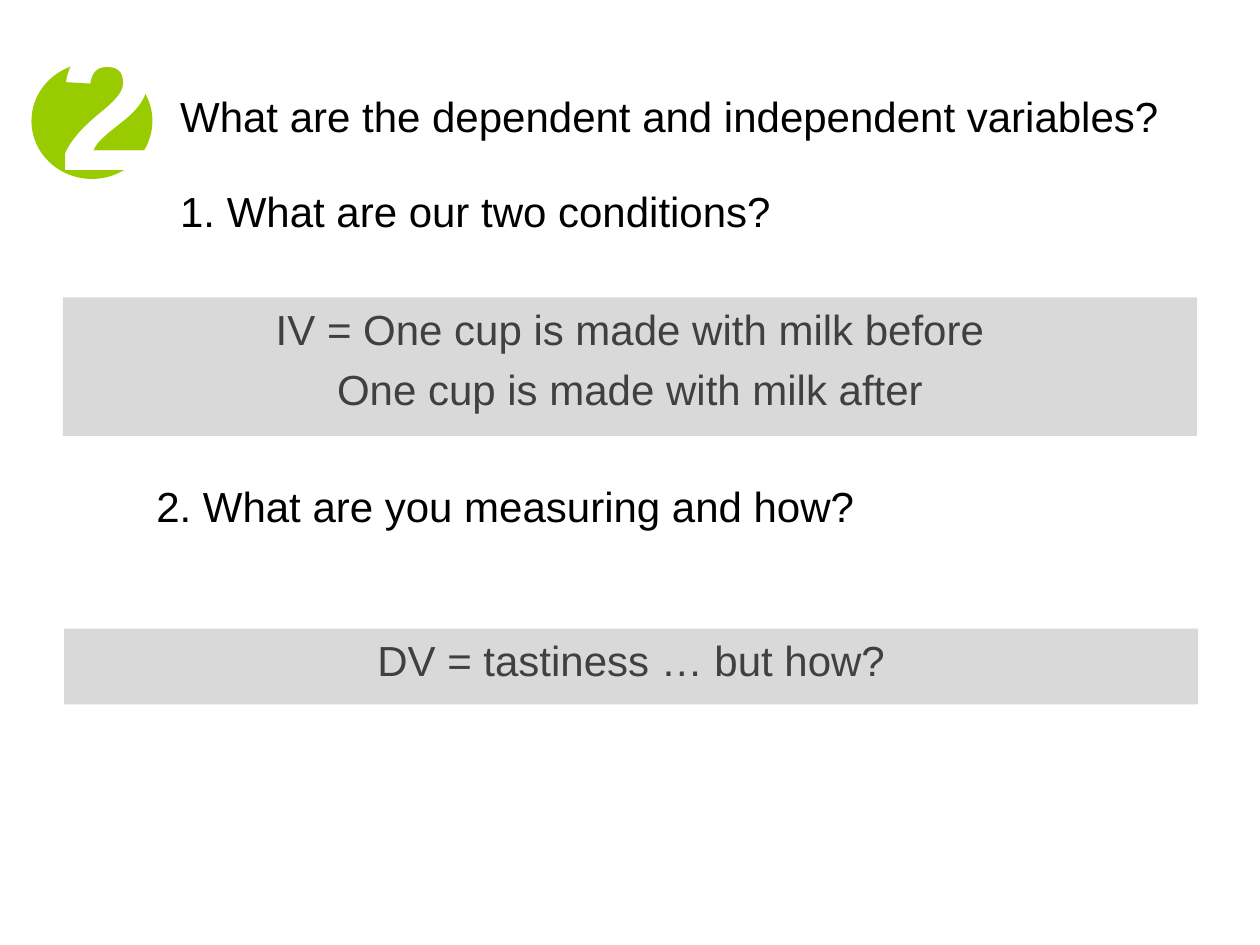
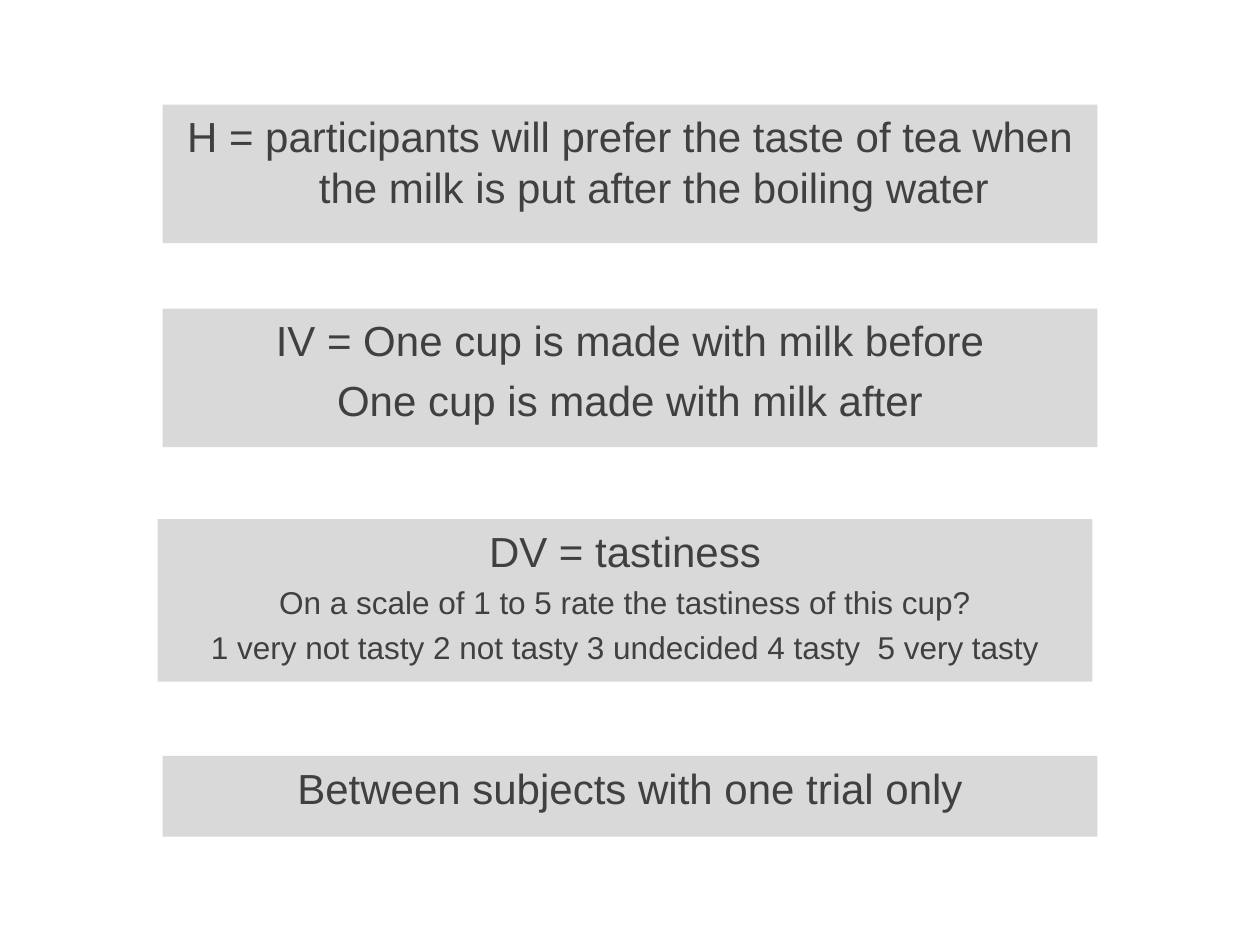
from dataclasses import dataclass

from lxml import etree
from pptx import Presentation
from pptx import util as u
from pptx.dml.color import RGBColor
from pptx.enum import shapes, text
from pptx.oxml.ns import qn

COLORS = {"band": "D9D9D9", "answer": "404040", "question": "000000",
          "badge": "99CC00", "badge_digit": "FFFFFF"}
FONT = "Arial"
LARGE, SMALL, BADGE_SIZE = 24, 18, 100
COLUMNS, ROWS = 100, 75
WIDTH, HEIGHT = u.Inches(10), u.Inches(7.5)
HANGING = u.Inches(0.38)
SPACE_SHARE = 0.23  # paragraph gap as a share of the text size
TITLE_AND_CONTENT, BLANK = 1, 6

IV_LINES = [("IV = One cup is made with milk before", LARGE),
            ("One cup is made with milk after", LARGE)]


@dataclass
class Box:
    """A rectangle in grid columns and rows."""
    left: float
    top: float
    width: float
    height: float

    def scaled(self, width, height):
        """A box at the same corner with shares of the size."""
        return Box(self.left, self.top, self.width * width, self.height * height)

    def lengths(self):
        column, row = WIDTH / COLUMNS, HEIGHT / ROWS
        return (u.Emu(round(self.left * column)), u.Emu(round(self.top * row)),
                u.Emu(round(self.width * column)), u.Emu(round(self.height * row)))


# Shared text and shape helpers

def add_run(paragraph, words, size, color, bold=False):
    run = paragraph.add_run()
    run.text = words
    run.font.name = FONT
    run.font.size = u.Pt(size)
    run.font.bold = bold
    run.font.color.rgb = RGBColor.from_string(COLORS[color])


def set_indent(paragraph, left, first_line):
    properties = paragraph._p.get_or_add_pPr()
    properties.set("marL", str(left))
    properties.set("indent", str(first_line))


def add_paragraphs(frame, count):
    """Return the first paragraph of the frame and as many more as needed."""
    return [frame.paragraphs[0]] + [frame.add_paragraph() for _ in range(count - 1)]


def add_plain_shape(parent, kind, box, fill=None):
    shape = parent.add_shape(kind, *box.lengths())
    shape.shadow.inherit = False
    shape.line.fill.background()
    if fill:
        shape.fill.solid()
        shape.fill.fore_color.rgb = RGBColor.from_string(COLORS[fill])
    else:
        shape.fill.background()
    return shape


def place_placeholder(placeholder, box):
    placeholder.left, placeholder.top, placeholder.width, placeholder.height = box.lengths()
    frame = placeholder.text_frame
    frame.auto_size = text.MSO_AUTO_SIZE.NONE
    frame.vertical_anchor = text.MSO_ANCHOR.TOP
    return frame


# Regions

def add_band(slide, box, lines):
    """Grey band with centred answer lines."""
    shape = add_plain_shape(slide.shapes, shapes.MSO_SHAPE.RECTANGLE, box, "band")
    frame = shape.text_frame
    frame.word_wrap = True
    frame.vertical_anchor = text.MSO_ANCHOR.TOP
    for paragraph, (words, size) in zip(add_paragraphs(frame, len(lines)), lines):
        paragraph.alignment = text.PP_ALIGN.CENTER
        paragraph.space_before = u.Pt(round(size * SPACE_SHARE, 1))
        set_indent(paragraph, HANGING, -HANGING)
        add_run(paragraph, words, size, "answer")


def add_badge(slide, box, digit):
    """Green disc with a large digit cut into it."""
    group = slide.shapes.add_group_shape()
    oval = shapes.MSO_SHAPE.OVAL
    add_plain_shape(group.shapes, oval, box, "badge")
    label = add_plain_shape(group.shapes, oval, box.scaled(0.88, 0.65))
    frame = label.text_frame
    frame.word_wrap = True
    frame.vertical_anchor = text.MSO_ANCHOR.MIDDLE
    frame.margin_left = u.Inches(0.1)
    frame.margin_top = frame.margin_right = frame.margin_bottom = 0
    paragraph = frame.paragraphs[0]
    paragraph.alignment = text.PP_ALIGN.LEFT
    add_run(paragraph, digit, BADGE_SIZE, "badge_digit", bold=True)


def add_title(slide, box, words):
    frame = place_placeholder(slide.shapes.title, box)
    frame.word_wrap = False
    paragraph = frame.paragraphs[0]
    paragraph.alignment = text.PP_ALIGN.LEFT
    add_run(paragraph, words, LARGE, "question")


def add_questions(slide, box, questions):
    """Body list; each question has its own indent and gap above."""
    frame = place_placeholder(slide.placeholders[1], box)
    for paragraph, (words, indent, gap) in zip(
            add_paragraphs(frame, len(questions)), questions):
        paragraph.alignment = text.PP_ALIGN.LEFT
        paragraph.space_before = u.Pt(gap)
        set_indent(paragraph, u.Inches(indent), 0)
        etree.SubElement(paragraph._p.get_or_add_pPr(), qn("a:buNone"))
        add_run(paragraph, words, LARGE, "question")


# Slides

def build_variables_slide(presentation):
    slide = presentation.slides.add_slide(presentation.slide_layouts[TITLE_AND_CONTENT])
    add_badge(slide, Box(2.5, 5, 9.6, 9.2), "2")
    add_title(slide, Box(13.3, 6.7, 80.5, 5),
              "What are the dependent and independent variables?")
    add_questions(slide, Box(6.7, 14.2, 66, 30), [
        ("1. What are our two conditions?", 0.66, 0),
        ("2. What are you measuring and how?", 0.47, 140),
    ])
    add_band(slide, Box(5, 23.6, 90, 11), IV_LINES)
    add_band(slide, Box(5.1, 49.9, 90, 6), [("DV = tastiness … but how?", LARGE)])


def build_summary_slide(presentation):
    slide = presentation.slides.add_slide(presentation.slide_layouts[BLANK])
    left, width = 12.9, 74.2
    bands = [
        (left, 8.3, 11, [("H = participants will prefer the taste of tea when "
                          "the milk is put after the boiling water", LARGE)]),
        (left, 24.5, 11, IV_LINES),
        (left - 0.4, 41.2, 12.9, [
            ("DV = tastiness", LARGE),
            ("On a scale of 1 to 5 rate the tastiness of this cup?", SMALL),
            ("1 very not tasty 2 not tasty 3 undecided 4 tasty  5 very tasty", SMALL)]),
        (left, 60, 6.4, [("Between subjects with one trial only", LARGE)]),
    ]
    for band_left, top, height, lines in bands:
        add_band(slide, Box(band_left, top, width, height), lines)


def main():
    presentation = Presentation()
    presentation.slide_width, presentation.slide_height = WIDTH, HEIGHT
    build_variables_slide(presentation)
    build_summary_slide(presentation)
    presentation.save("out.pptx")


if __name__ == "__main__":
    main()
